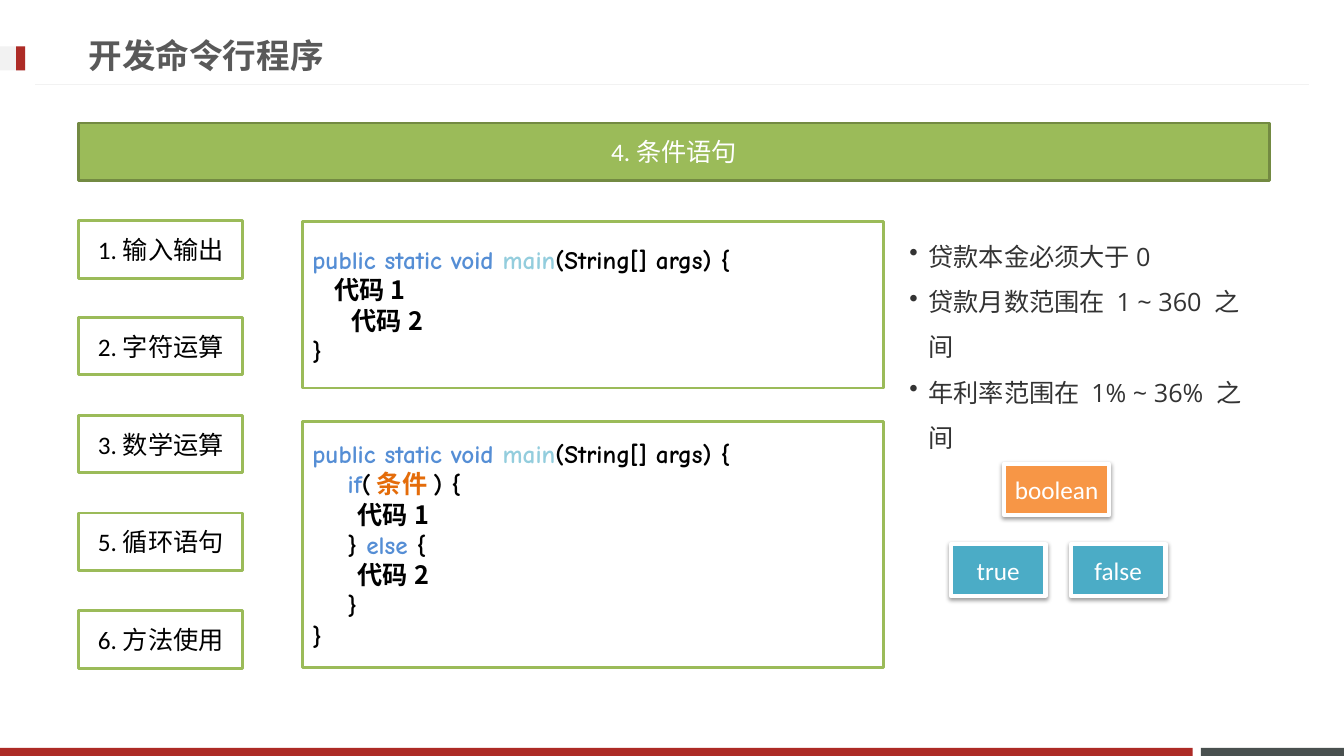
from dataclasses import dataclass

from lxml.etree import SubElement
from pptx import Presentation
from pptx.dml.color import RGBColor
from pptx.enum.shapes import MSO_CONNECTOR, MSO_SHAPE
from pptx.enum.text import MSO_ANCHOR, PP_ALIGN
from pptx.oxml.ns import qn
from pptx.util import Emu, Pt

SCALE = 9144
HAN = "Noto Sans CJK SC"
CODE = "Comic Neue"
BLACK, WHITE, GREEN = "000000", "FFFFFF", "9BBB59"
BLUE, CYAN, RED, TEAL = "558ED5", "93CDDD", "AD2B26", "4BACC6"


@dataclass
class Font:
    name: str
    color: str
    size: int = 18
    bold: bool = False


@dataclass
class Box:
    x: int
    y: int
    w: int
    h: int
    fill: str
    edge: str = ""
    width: int = 2
    text: str = ""
    color: str = BLACK
    shade: bool = False


@dataclass
class Run:
    text: str
    color: str = BLACK
    font: str = CODE


@dataclass
class Line:
    indent: int
    runs: list[Run]


def px(size: int) -> Emu:
    return Emu(size * SCALE)


def rgb(color: str) -> RGBColor:
    return RGBColor.from_string(color)


def style(run, font: Font) -> None:
    run.font.name = font.name
    run.font.size = Pt(font.size)
    run.font.bold = font.bold
    run.font.color.rgb = rgb(font.color)
    SubElement(run.font._element, qn("a:ea"), typeface=HAN)


def shadow(shape) -> None:
    effects = shape._element.spPr.find(qn("a:effectLst"))
    outer = SubElement(effects, qn("a:outerShdw"), blurRad="40000",
                       dist="20000", dir="5400000", rotWithShape="0")
    tint = SubElement(outer, qn("a:srgbClr"), val=BLACK)
    SubElement(tint, qn("a:alpha"), val="38000")


def draw(slide, box: Box):
    shape = slide.shapes.add_shape(
        MSO_SHAPE.RECTANGLE, px(box.x), px(box.y), px(box.w), px(box.h))
    shape.shadow.inherit = False
    shape.fill.solid()
    shape.fill.fore_color.rgb = rgb(box.fill)
    if box.edge:
        shape.line.color.rgb = rgb(box.edge)
        shape.line.width = Pt(box.width)
    else:
        shape.line.fill.background()
    if box.shade:
        shadow(shape)
    if box.text:
        frame = shape.text_frame
        frame.text = box.text
        frame.vertical_anchor = MSO_ANCHOR.MIDDLE
        para = frame.paragraphs[0]
        para.alignment = PP_ALIGN.CENTER
        style(para.runs[0], Font("Calibri", box.color))
    return shape


def margin(para, left: int, first: int = 0) -> None:
    props = para._p.get_or_add_pPr()
    props.set("marL", str(px(left)))
    props.set("indent", str(px(first)))


def code(slide, y: int, h: int, lines: list[Line]) -> None:
    frame = draw(slide, Box(300, y, 576, h, WHITE, GREEN)).text_frame
    frame.vertical_anchor = MSO_ANCHOR.MIDDLE
    for i, line in enumerate(lines):
        para = frame.add_paragraph() if i else frame.paragraphs[0]
        para.alignment = PP_ALIGN.LEFT
        margin(para, line.indent)
        for part in line.runs:
            run = para.add_run()
            run.text = part.text
            style(run, Font(part.font, part.color, bold=True))


def label(slide, x: int, y: int, w: int, h: int, texts: list[str], font: Font):
    frame = slide.shapes.add_textbox(px(x), px(y), px(w), px(h)).text_frame
    frame.word_wrap = True
    frame.text = "\n".join(texts)
    for para in frame.paragraphs:
        style(para.runs[0], font)
    return frame


def rule(slide, x: int, y: int, end: int) -> None:
    line = slide.shapes.add_connector(
        MSO_CONNECTOR.STRAIGHT, px(x), px(y), px(end), px(y))
    line.line.color.rgb = rgb("F2F2F2")
    line.line.width = Pt(0.75)
    SubElement(line._element.spPr, qn("a:effectLst"))


def main() -> None:
    deck = Presentation()
    deck.slide_width, deck.slide_height = px(1333), px(750)
    slide = deck.slides.add_slide(deck.slide_layouts[6])

    for box in (
        Box(1191, 742, 142, 8, "49504F"),
        Box(0, 742, 1183, 8, RED),
        Box(0, 46, 25, 24, "F2F2F2"),
        Box(16, 46, 9, 24, RED),
        Box(78, 122, 1181, 57, GREEN, "738A42", 2, "4.条件语句", WHITE),
    ):
        draw(slide, box)
    rule(slide, 35, 84, 1298)
    title = label(slide, 78, 26, 959, 57, ["开发命令行程序"],
                  Font("Roboto", "595959", 24, True))
    title.vertical_anchor = MSO_ANCHOR.MIDDLE

    topics = ("1.输入输出", "2.字符运算", "3.数学运算", "5.循环语句", "6.方法使用")
    for i, topic in enumerate(topics):
        draw(slide, Box(78, 219 + i * 387 // 4, 163, 57, WHITE, GREEN, 2, topic))

    head = Line(0, [Run("public static void ", BLUE), Run("main", CYAN),
                    Run("(String[] args) {")])
    one, two = Run("代码1", font=HAN), Run("代码2", font=HAN)
    close = Run("}")
    code(slide, 220, 165, [
        head, Line(22, [one]), Line(39, [two]), Line(0, [close])])
    code(slide, 418, 244, [
        head,
        Line(35, [Run("if", BLUE), Run("("), Run("条件", "E46C0A", HAN),
                  Run(") {")]),
        Line(45, [one]),
        Line(35, [Run("} "), Run("else", BLUE), Run(" {")]),
        Line(45, [two]),
        Line(35, [close]),
        Line(0, [close]),
    ])

    limits = label(slide, 892, 219, 367, 233, [
        "贷款本金必须大于0",
        "贷款月数范围在 1 ~ 360 之间",
        "年利率范围在 1% ~ 36% 之间",
    ], Font("Open Sans", "333333"))
    for para in limits.paragraphs:
        para.line_spacing = 1.5
        margin(para, 19, -19)
        SubElement(para._p.get_or_add_pPr(), qn("a:buChar"), char="•")

    for x, y, w, fill, text in (
        (996, 460, 104, "F79646", "boolean"),
        (943, 540, 94, TEAL, "true"),
        (1062, 540, 94, TEAL, "false"),
    ):
        draw(slide, Box(x, y, w, 51, fill, WHITE, 3, text, WHITE, True))

    deck.save("out.pptx")


if __name__ == "__main__":
    main()
